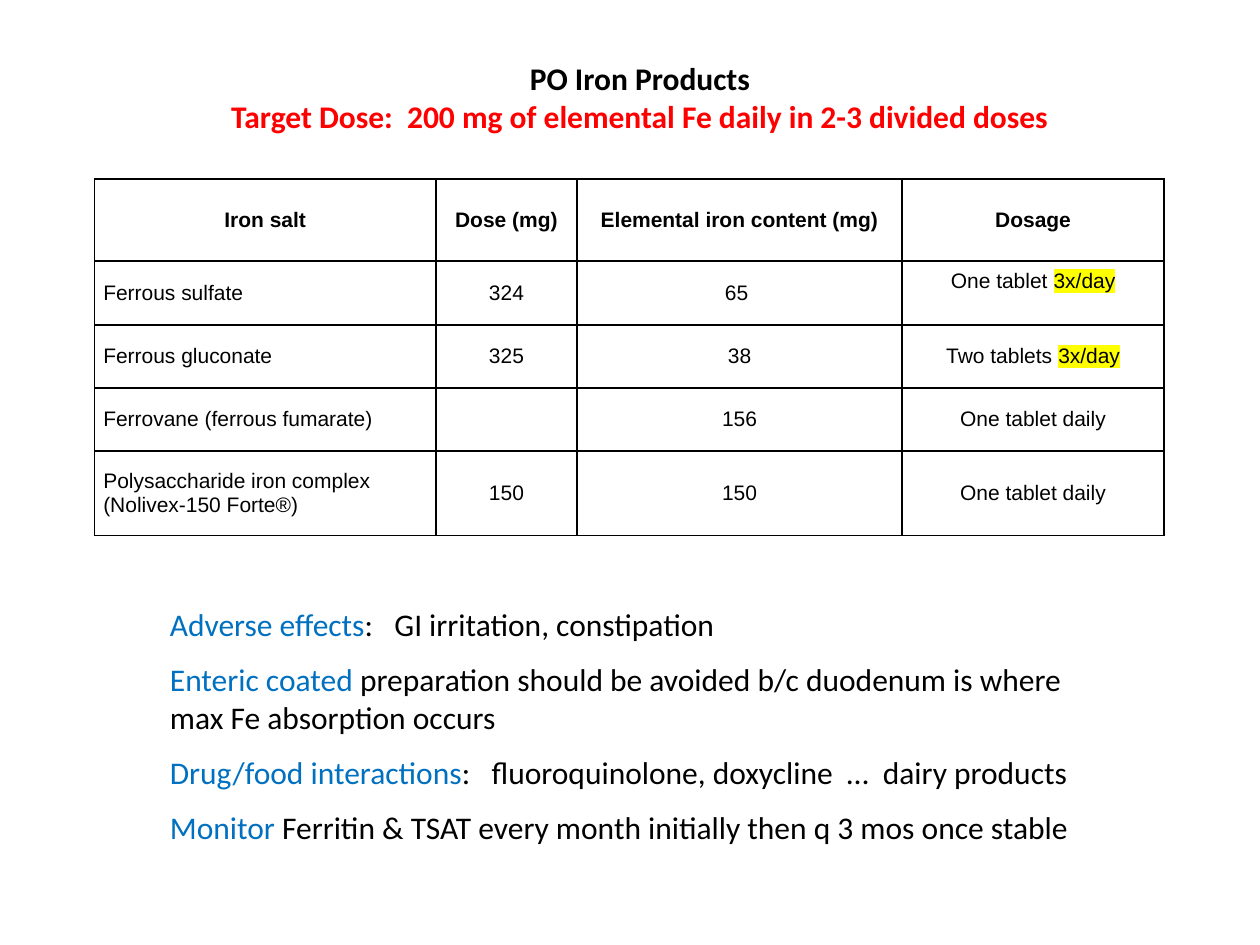
from lxml.etree import SubElement
from pptx import Presentation
from pptx.dml.color import RGBColor
from pptx.enum.text import MSO_ANCHOR as Anchor, MSO_AUTO_SIZE as AutoSize, PP_ALIGN as Align
from pptx.oxml.ns import qn
from pptx.util import Inches, Pt

BLACK, RED, BLUE, YELLOW = "000000", "FF0000", "0070C0", "FFFF00"

TITLE_LINES = [
    ("PO Iron Products", BLACK),
    ("Target Dose:  200 mg of elemental Fe daily in 2-3 divided doses", RED),
]
COLUMN_WIDTHS = [2.71, 1.12, 2.58, 2.08]
ROW_HEIGHTS = [0.65, 0.51, 0.5, 0.5, 0.67]
PRODUCTS = [
    ["Iron salt", "Dose (mg)", "Elemental iron content (mg)", "Dosage"],
    ["Ferrous sulfate", "324", "65 ", "One tablet |3x/day"],
    ["Ferrous gluconate", "325", "38", "Two tablets |3x/day"],
    ["Ferrovane (ferrous fumarate)", "", "156", "One tablet daily"],
    ["Polysaccharide iron complex (Nolivex-150 Forte®)", "150", "150", "One tablet daily"],
]
NOTES = [
    ("Adverse effects", ":   GI irritation, constipation"),
    ("Enteric coated ", "preparation should be avoided b/c duodenum is where max Fe absorption occurs"),
    ("Drug/food interactions", ":   fluoroquinolone, doxycline  …  dairy products"),
    ("Monitor", " Ferritin & TSAT every month initially then q 3 mos once stable"),
]


def color(value):
    return RGBColor.from_string(value)


def style(paragraph, name, size, bold=False, align=Align.LEFT):
    paragraph.alignment = align
    font = paragraph.font
    font.name, font.size, font.bold = name, Pt(size), bold


def add_run(paragraph, text, fill, highlight=None):
    run = paragraph.add_run()
    run.text = text
    run.font.color.rgb = color(fill)
    if highlight:
        mark = SubElement(run.font._element, qn("a:highlight"))
        SubElement(mark, qn("a:srgbClr"), val=highlight)


def add_text_frame(slide, box):
    frame = slide.shapes.add_textbox(*map(Inches, box)).text_frame
    frame.word_wrap = True
    frame.auto_size = AutoSize.SHAPE_TO_FIT_TEXT
    return frame


def next_paragraph(frame, index):
    return frame.add_paragraph() if index else frame.paragraphs[0]


def add_title(slide, box):
    frame = add_text_frame(slide, box)
    for index, (text, fill) in enumerate(TITLE_LINES):
        paragraph = next_paragraph(frame, index)
        style(paragraph, "Calibri", 18, bold=True, align=Align.CENTER)
        add_run(paragraph, text, fill)


def add_borders(cell):
    properties = cell._tc.get_or_add_tcPr()
    for side in ("lnL", "lnR", "lnT", "lnB"):
        line = SubElement(properties, qn(f"a:{side}"), w=str(Pt(1)))
        fill = SubElement(line, qn("a:solidFill"))
        SubElement(fill, qn("a:srgbClr"), val=BLACK)


def fill_cell(cell, text, bold, align):
    add_borders(cell)
    cell.fill.background()
    cell.vertical_anchor = Anchor.MIDDLE
    cell.margin_left = cell.margin_right = Inches(0.07)
    cell.margin_top = cell.margin_bottom = 0
    paragraph = cell.text_frame.paragraphs[0]
    style(paragraph, "Arial", 12, bold, align)
    plain, _, marked = text.partition("|")
    if plain:
        add_run(paragraph, plain, BLACK)
    if marked:
        add_run(paragraph, marked, BLACK, YELLOW)


def add_product_table(slide, box):
    shape = slide.shapes.add_table(len(ROW_HEIGHTS), len(COLUMN_WIDTHS), *map(Inches, box))
    table = shape.table
    table.first_row = table.horz_banding = False
    for column, width in zip(table.columns, COLUMN_WIDTHS):
        column.width = Inches(width)
    for row_index, (row, height, texts) in enumerate(zip(table.rows, ROW_HEIGHTS, PRODUCTS)):
        row.height = Inches(height)
        for column_index, (cell, text) in enumerate(zip(row.cells, texts)):
            is_header = row_index == 0
            is_name = column_index == 0 and not is_header
            fill_cell(cell, text, is_header, Align.LEFT if is_name else Align.CENTER)
    table.cell(1, 3).margin_bottom = Inches(0.19)


def add_notes(slide, box):
    frame = add_text_frame(slide, box)
    for index, (topic, detail) in enumerate(NOTES):
        paragraph = next_paragraph(frame, index)
        style(paragraph, "Calibri", 18)
        if index:
            paragraph.space_before = Pt(10)
        add_run(paragraph, topic, BLUE)
        add_run(paragraph, detail, BLACK)


def main():
    presentation = Presentation()
    presentation.slide_width, presentation.slide_height = Inches(10), Inches(7.5)
    slide = presentation.slides.add_slide(presentation.slide_layouts[6])
    add_title(slide, (1.58, 0.42, 7, 0.71))
    add_product_table(slide, (0.75, 1.42, 8.5, 2.83))
    add_notes(slide, (1.25, 4.75, 7.58, 2.04))
    presentation.save("out.pptx")


if __name__ == "__main__":
    main()
